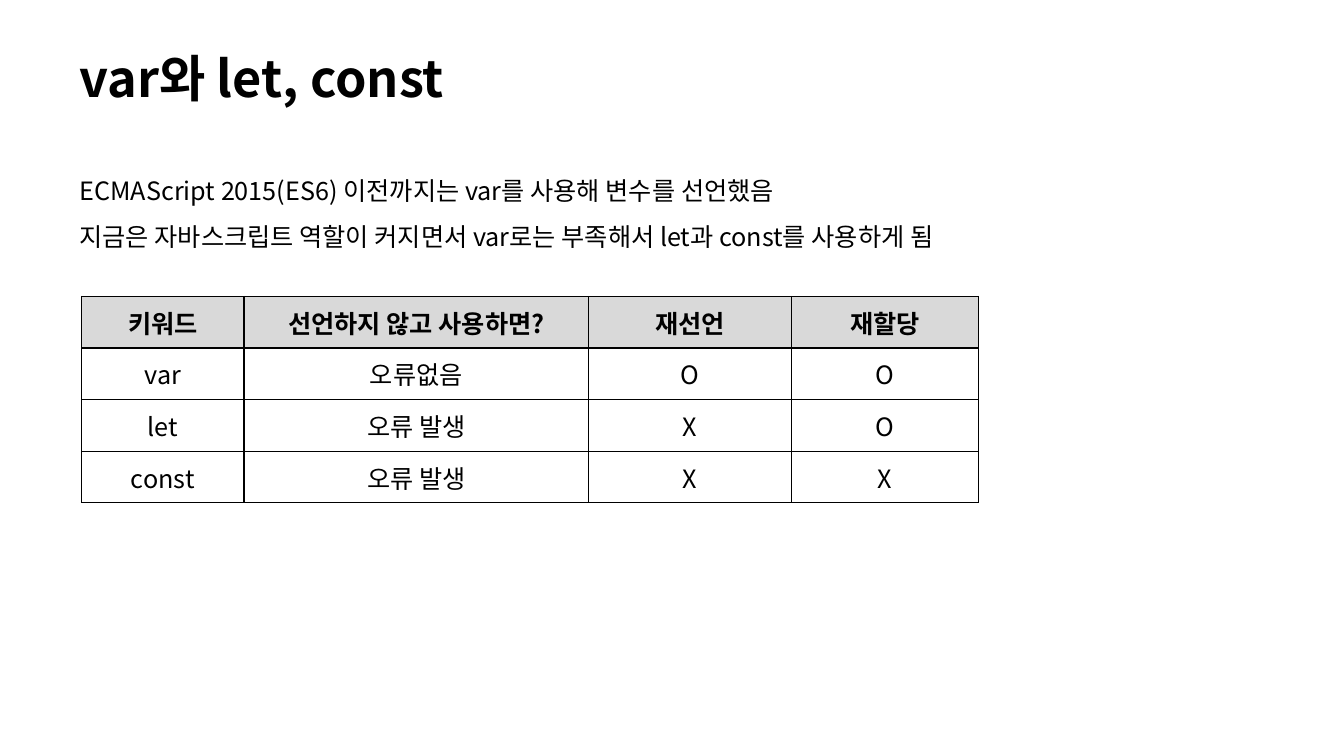
import dataclasses

import lxml.etree
import pptx
import pptx.dml.color
import pptx.enum.text
import pptx.oxml.ns
import pptx.slide
import pptx.table
import pptx.text.text
import pptx.util

SLIDE_WIDTH = pptx.util.Inches(13.33)
SLIDE_HEIGHT = pptx.util.Inches(7.5)
GRID_COLUMNS, GRID_ROWS = 160, 90
MIDDLE = pptx.enum.text.MSO_ANCHOR.MIDDLE
TOP = pptx.enum.text.MSO_ANCHOR.TOP


@dataclasses.dataclass(frozen=True)
class Theme:
    font: str = "Noto Sans CJK KR"
    ink: str = "000000"
    header_fill: str = "D9D9D9"
    title_size: float = 36
    body_size: float = 18
    border_width: float = 1


@dataclasses.dataclass(frozen=True)
class Area:
    """A place on the slide, in grid columns and rows."""
    left: float
    top: float
    width: float
    height: float

    def box(self) -> tuple[int, int, int, int]:
        return across(self.left), down(self.top), across(self.width), down(self.height)


@dataclasses.dataclass(frozen=True)
class TextBlock:
    area: Area
    lines: tuple[str, ...]
    size: float
    line_spacing: float
    bold: bool = False
    anchor: pptx.enum.text.MSO_ANCHOR = TOP


@dataclasses.dataclass(frozen=True)
class KeywordColumn:
    heading: str
    width: float
    values: tuple[str, ...]


THEME = Theme()

TEXT_BLOCKS = (
    TextBlock(Area(8.28, 4.2, 116.9, 11), ("var와 let, const",),
              THEME.title_size, 0.9, bold=True, anchor=MIDDLE),
    TextBlock(Area(8.28, 18.5, 136.3, 11.5),
              ("ECMAScript 2015(ES6) 이전까지는 var를 사용해 변수를 선언했음",
               "지금은 자바스크립트 역할이 커지면서 var로는 부족해서 let과 const를 사용하게 됨"),
              THEME.body_size, 1.5),
)

KEYWORD_AREA = Area(9.72, 35.28, 106.8, 24.6)
KEYWORD_COLUMNS = (
    KeywordColumn("키워드", 19.32, ("var", "let", "const")),
    KeywordColumn("선언하지 않고 사용하면?", 41.04, ("오류없음", "오류 발생", "오류 발생")),
    KeywordColumn("재선언", 24.12, ("O", "X", "X")),
    KeywordColumn("재할당", 22.32, ("O", "O", "X")),
)


def across(columns: float) -> int:
    return round(SLIDE_WIDTH * columns / GRID_COLUMNS)


def down(rows: float) -> int:
    return round(SLIDE_HEIGHT * rows / GRID_ROWS)


def style_runs(paragraph: pptx.text.text._Paragraph, size: float, bold: bool) -> None:
    for run in paragraph.runs:
        run.font.size = pptx.util.Pt(size)
        run.font.bold = bold
        run.font.name = THEME.font
        run.font.color.rgb = pptx.dml.color.RGBColor.from_string(THEME.ink)
        east_asian = lxml.etree.SubElement(
            run._r.get_or_add_rPr(), pptx.oxml.ns.qn("a:ea"))
        east_asian.set("typeface", THEME.font)


def add_text_block(slide: pptx.slide.Slide, block: TextBlock) -> None:
    frame = slide.shapes.add_textbox(*block.area.box()).text_frame
    frame.word_wrap = True
    frame.vertical_anchor = block.anchor
    frame.text = "\n".join(block.lines)
    for paragraph in frame.paragraphs:
        paragraph.line_spacing = block.line_spacing
        style_runs(paragraph, block.size, block.bold)


def add_borders(cell: pptx.table._Cell) -> None:
    """Draw all four edges; they must precede the fill in the cell properties."""
    properties = cell._tc.get_or_add_tcPr()
    for position, edge in enumerate(("a:lnL", "a:lnR", "a:lnT", "a:lnB")):
        line = lxml.etree.Element(pptx.oxml.ns.qn(edge))
        line.set("w", str(pptx.util.Pt(THEME.border_width)))
        fill = lxml.etree.SubElement(line, pptx.oxml.ns.qn("a:solidFill"))
        color = lxml.etree.SubElement(fill, pptx.oxml.ns.qn("a:srgbClr"))
        color.set("val", THEME.ink)
        properties.insert(position, line)


def fill_cell(cell: pptx.table._Cell, text: str, is_header: bool) -> None:
    cell.text_frame.text = text
    cell.vertical_anchor = MIDDLE
    paragraph = cell.text_frame.paragraphs[0]
    paragraph.alignment = pptx.enum.text.PP_ALIGN.CENTER
    style_runs(paragraph, THEME.body_size, is_header)
    if is_header:
        cell.fill.solid()
        cell.fill.fore_color.rgb = pptx.dml.color.RGBColor.from_string(THEME.header_fill)
    else:
        cell.fill.background()
    add_borders(cell)


def add_keyword_table(slide: pptx.slide.Slide) -> None:
    row_count = 1 + len(KEYWORD_COLUMNS[0].values)
    table = slide.shapes.add_table(
        row_count, len(KEYWORD_COLUMNS), *KEYWORD_AREA.box()).table
    table.first_row = False
    table.horz_banding = False
    for row in table.rows:
        row.height = down(KEYWORD_AREA.height / row_count)
    for column_index, column in enumerate(KEYWORD_COLUMNS):
        table.columns[column_index].width = across(column.width)
        for row_index, text in enumerate((column.heading, *column.values)):
            fill_cell(table.cell(row_index, column_index), text, row_index == 0)


def main() -> None:
    presentation = pptx.Presentation()
    presentation.slide_width = SLIDE_WIDTH
    presentation.slide_height = SLIDE_HEIGHT
    slide = presentation.slides.add_slide(presentation.slide_layouts[6])
    for block in TEXT_BLOCKS:
        add_text_block(slide, block)
    add_keyword_table(slide)
    presentation.save("out.pptx")


if __name__ == "__main__":
    main()
